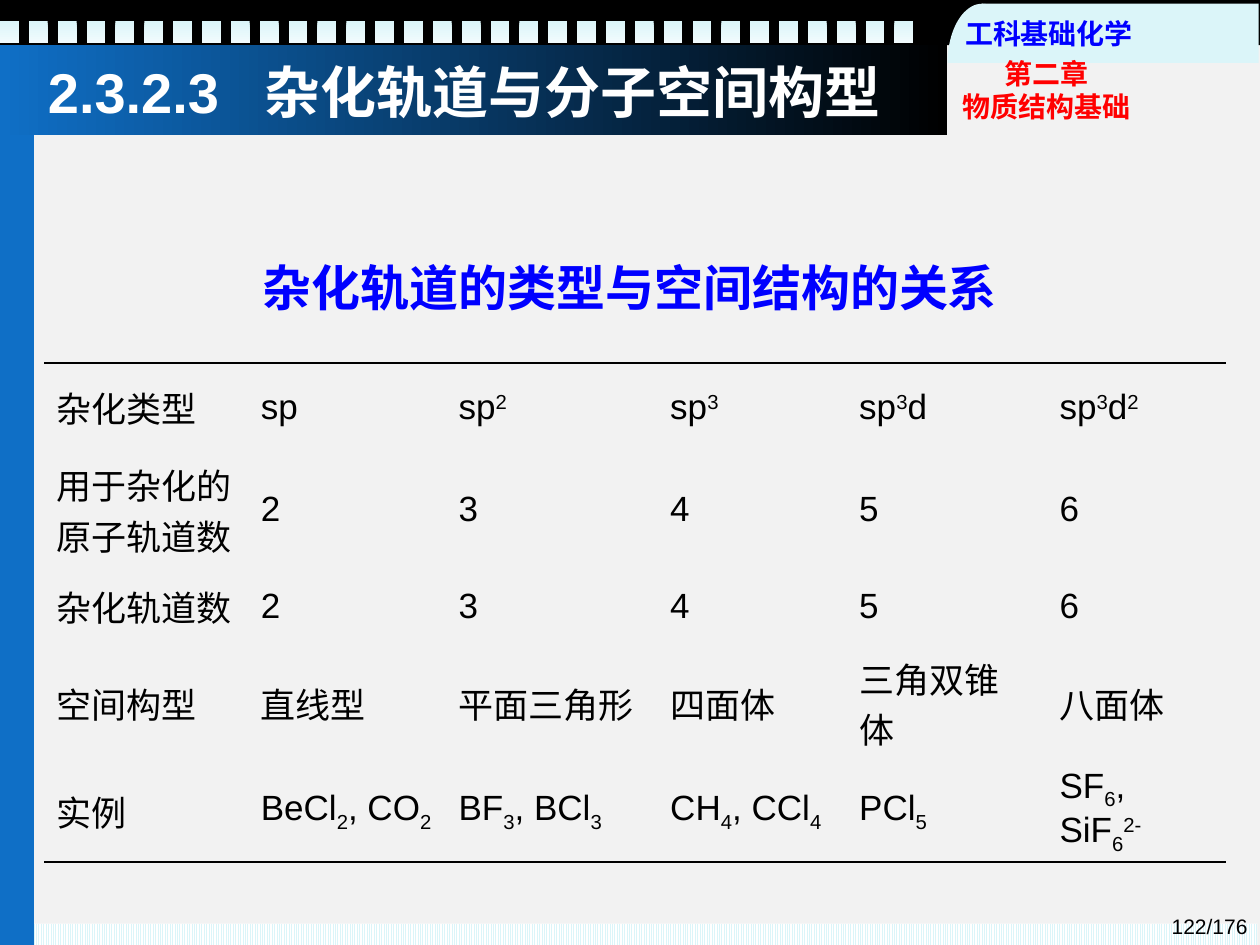
import math
from dataclasses import dataclass
from typing import Optional

from lxml import etree
from pptx import Presentation
from pptx.dml.color import RGBColor
from pptx.enum.dml import MSO_PATTERN
from pptx.enum.shapes import MSO_SHAPE
from pptx.enum.text import MSO_ANCHOR, MSO_AUTO_SIZE, PP_ALIGN
from pptx.oxml.ns import qn
from pptx.util import Inches, Pt

RECTANGLE = MSO_SHAPE.RECTANGLE
LIGHT_VERTICAL = MSO_PATTERN.LIGHT_VERTICAL
LEFT, CENTER, RIGHT = PP_ALIGN.LEFT, PP_ALIGN.CENTER, PP_ALIGN.RIGHT
MIDDLE, BOTTOM = MSO_ANCHOR.MIDDLE, MSO_ANCHOR.BOTTOM
NO_AUTOFIT = MSO_AUTO_SIZE.NONE

SLIDE_WIDTH, SLIDE_HEIGHT = Inches(10), Inches(7.5)
GRID_COLUMNS, GRID_ROWS = 1000, 750
TITLE_TAB = 172
HOLE_COUNT, HOLE_PITCH = 32, 22.9
TABLE_COLUMNS = (162, 157, 168, 150, 159, 142)
TABLE_ROWS = (71, 79, 63, 79, 79)
NO_STYLE_NO_GRID = "{2D5ABB26-0587-4C30-8999-92F81FD0307C}"
BASELINES = {"^": "30000", "_": "-25000"}

BLACK, WHITE, PAPER = "000000", "FFFFFF", "F2F2F2"
BLUE, PALE, PALER = "0F6FC6", "DBF5F9", "F1FBFD"
HEADING_BLUE, CHAPTER_RED = "0000FF", "FF0000"

CELLS = (
    ("杂化类型", "sp", "sp|^2", "sp|^3", "sp|^3|d", "sp|^3|d|^2"),
    ("用于杂化的原子轨道数", "2", "3", "4", "5", "6"),
    ("杂化轨道数", "2", "3", "4", "5", "6"),
    ("空间构型", "直线型", "平面三角形", "四面体", "三角双锥体", "八面体"),
    ("实例", "BeCl|_2|, CO|_2", "BF|_3|, BCl|_3", "CH|_4|, CCl|_4",
     "PCl|_5", "SF|_6|, SiF|_6|^2-"),
)


@dataclass(frozen=True)
class Box:
    column: float
    row: float
    columns: float
    rows: float

    def place(self) -> tuple:
        return (across(self.column), down(self.row),
                across(self.columns), down(self.rows))


@dataclass(frozen=True)
class Block:
    box: Box
    color: str
    end_color: Optional[str] = None
    angle: float = 0


@dataclass(frozen=True)
class Label:
    box: Box
    text: str
    size: float
    color: str
    align: PP_ALIGN
    anchor: MSO_ANCHOR = BOTTOM
    bold: bool = True
    font: str = "Arial"
    inset: bool = False


BANDS = (
    Block(Box(0, 35, 750, 64), BLACK),
    Block(Box(0, 0, 1000, 36), BLACK),
)
HOLES = tuple(Block(Box(index * HOLE_PITCH, 17, 15, 17), PALE, PALER, 270)
              for index in range(HOLE_COUNT))
FOOTER_STRIPES = Block(Box(23, 733, 975, 17), PALE)
PANELS = (
    Block(Box(779, 3, 220, 47), PALE),
    Block(Box(0, 91, 27, 659), BLUE),
    Block(Box(0, 36, 752, 71), BLUE, BLACK),
)
TITLE = Label(Box(28, 35, 723, 74), "2.3.2.3\t杂化轨道与分子空间构型",
              32, WHITE, LEFT, MIDDLE, inset=True)
LABELS = (
    Label(Box(768, 720, 232, 30), "122/176", 12, BLACK, RIGHT, bold=False, inset=True),
    Label(Box(762, 13, 141, 27), "工科基础化学", 16, HEADING_BLUE, CENTER),
    Label(Box(760, 44, 141, 54), "第二章\v物质结构基础", 16, CHAPTER_RED, CENTER),
    Label(Box(75, 186, 850, 83), "杂化轨道的类型与空间结构的关系", 28,
          HEADING_BLUE, CENTER, MIDDLE, font="Times New Roman", inset=True),
)


def across(columns: float) -> int:
    return round(SLIDE_WIDTH * columns / GRID_COLUMNS)


def down(rows: float) -> int:
    return round(SLIDE_HEIGHT * rows / GRID_ROWS)


def rgb(color: str) -> RGBColor:
    return RGBColor.from_string(color)


def set_all(target, values: dict) -> None:
    for name, value in values.items():
        setattr(target, name, value)


def format_font(font, size: float, color: str, bold: bool, name: str = "Arial") -> None:
    set_all(font, {"size": Pt(size), "bold": bold, "name": name})
    font.color.rgb = rgb(color)


def finish_shape(shape, color: str) -> None:
    shape.shadow.inherit = False
    shape.line.fill.background()
    shape.fill.solid()
    shape.fill.fore_color.rgb = rgb(color)


def draw_block(slide, block: Block):
    shape = slide.shapes.add_shape(RECTANGLE, *block.box.place())
    finish_shape(shape, block.color)
    if block.end_color:
        shape.fill.gradient()
        shape.fill.gradient_angle = block.angle
        for stop, color in zip(shape.fill.gradient_stops, (block.color, block.end_color)):
            stop.color.rgb = rgb(color)
    return shape


def draw_stripes(slide, block: Block) -> None:
    fill = draw_block(slide, block).fill
    fill.patterned()
    fill.pattern = LIGHT_VERTICAL
    fill.fore_color.rgb = rgb(block.color)
    fill.back_color.rgb = rgb(WHITE)


def draw_dome(slide, box: Box, color: str, steps: int = 40) -> None:
    radius = box.columns / 2
    points = [(across(box.column + radius - radius * math.cos(math.pi * step / steps)),
               down(box.row + box.rows - box.rows * math.sin(math.pi * step / steps)))
              for step in range(steps + 1)]
    builder = slide.shapes.build_freeform(*points[0])
    builder.add_line_segments(points[1:], close=True)
    finish_shape(builder.convert_to_shape(), color)


def write_label(shape, label: Label) -> None:
    frame = shape.text_frame
    set_all(frame, {"word_wrap": True, "auto_size": NO_AUTOFIT,
                    "vertical_anchor": label.anchor})
    if not label.inset:
        set_all(frame, dict.fromkeys(
            ("margin_left", "margin_top", "margin_right", "margin_bottom"), 0))
    paragraph = frame.paragraphs[0]
    paragraph.text = label.text
    paragraph.alignment = label.align
    for run in paragraph.runs:
        format_font(run.font, label.size, label.color, label.bold, label.font)


def draw_title(slide, label: Label) -> None:
    title = slide.shapes.title
    slide.shapes._spTree.append(title._element)
    set_all(title, dict(zip(("left", "top", "width", "height"), label.box.place())))
    write_label(title, label)
    properties = title.text_frame.paragraphs[0]._p.get_or_add_pPr()
    tabs = etree.SubElement(properties, qn("a:tabLst"))
    etree.SubElement(tabs, qn("a:tab"), pos=str(across(TITLE_TAB)), algn="l")


def add_border(cell, tag: str) -> None:
    line = etree.Element(qn(tag), w=str(Pt(1)))
    fill = etree.SubElement(line, qn("a:solidFill"))
    etree.SubElement(fill, qn("a:srgbClr"), val=BLACK)
    cell._tc.get_or_add_tcPr().insert(0, line)


def write_cell(cell, markup: str) -> None:
    cell.vertical_anchor = MIDDLE
    cell.fill.background()
    paragraph = cell.text_frame.paragraphs[0]
    for piece in markup.split("|"):
        baseline = BASELINES.get(piece[0])
        run = paragraph.add_run()
        run.text = piece[1:] if baseline else piece
        format_font(run.font, 20, BLACK, False)
        if baseline:
            run._r.get_or_add_rPr().set("baseline", baseline)


def draw_table(slide, box: Box) -> None:
    table = slide.shapes.add_table(len(CELLS), len(CELLS[0]), *box.place()).table
    set_all(table, {"first_row": False, "horz_banding": False})
    table._tbl.tblPr.find(qn("a:tableStyleId")).text = NO_STYLE_NO_GRID
    for column, columns in zip(table.columns, TABLE_COLUMNS):
        column.width = across(columns)
    for row, rows, texts in zip(table.rows, TABLE_ROWS, CELLS):
        row.height = down(rows)
        for cell, text in zip(row.cells, texts):
            write_cell(cell, text)
    for index, tag in ((0, "a:lnT"), (len(CELLS) - 1, "a:lnB")):
        for cell in table.rows[index].cells:
            add_border(cell, tag)


def main() -> None:
    presentation = Presentation()
    set_all(presentation, {"slide_width": SLIDE_WIDTH, "slide_height": SLIDE_HEIGHT})
    slide = presentation.slides.add_slide(presentation.slide_layouts[5])
    slide.background.fill.solid()
    slide.background.fill.fore_color.rgb = rgb(PAPER)
    for block in BANDS + HOLES:
        draw_block(slide, block)
    draw_stripes(slide, FOOTER_STRIPES)
    draw_dome(slide, Box(752, 3, 55, 47), PALE)
    for block in PANELS:
        draw_block(slide, block)
    draw_title(slide, TITLE)
    draw_table(slide, Box(35, 288, sum(TABLE_COLUMNS), sum(TABLE_ROWS)))
    for label in LABELS:
        write_label(slide.shapes.add_textbox(*label.box.place()), label)
    presentation.save("out.pptx")


if __name__ == "__main__":
    main()
